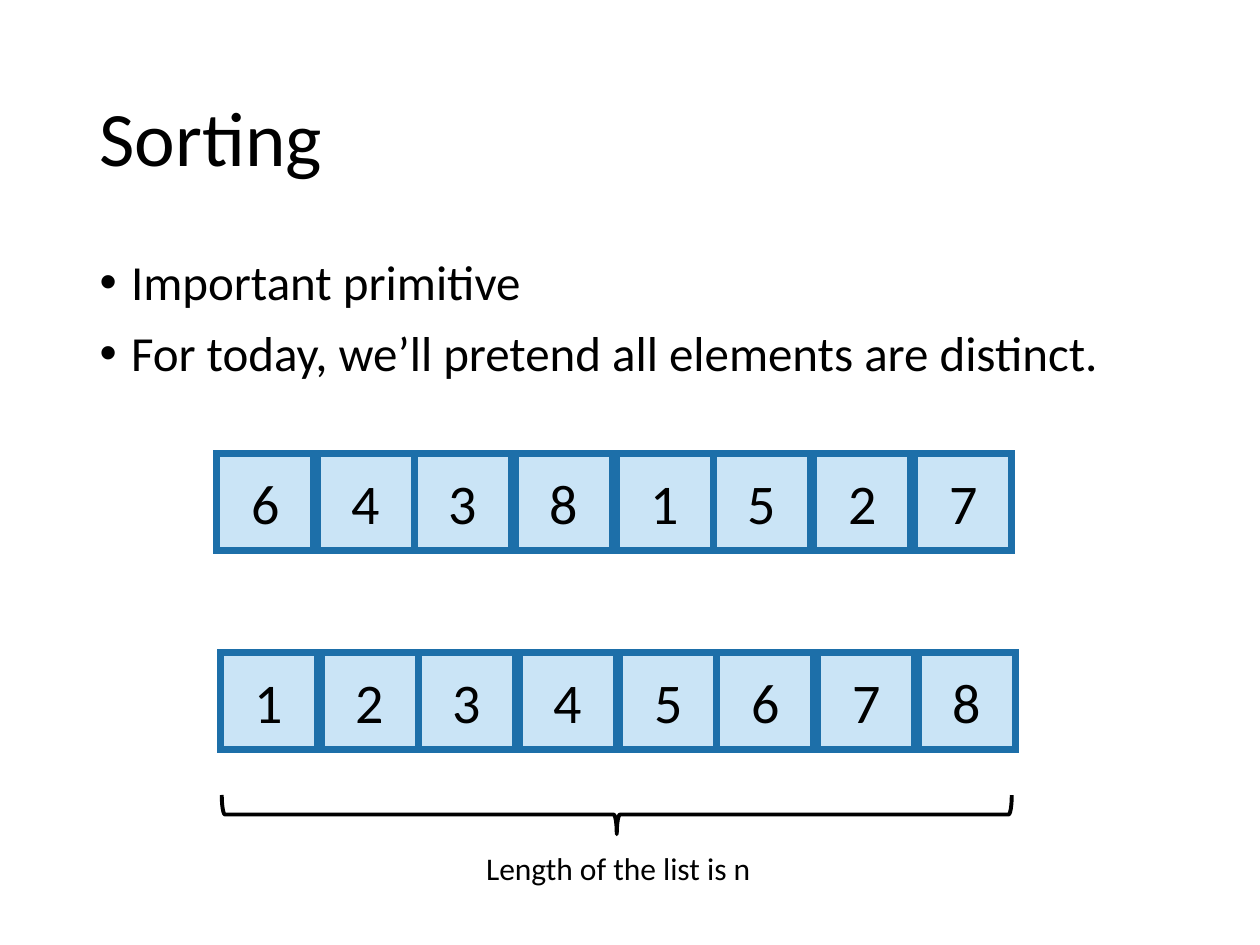
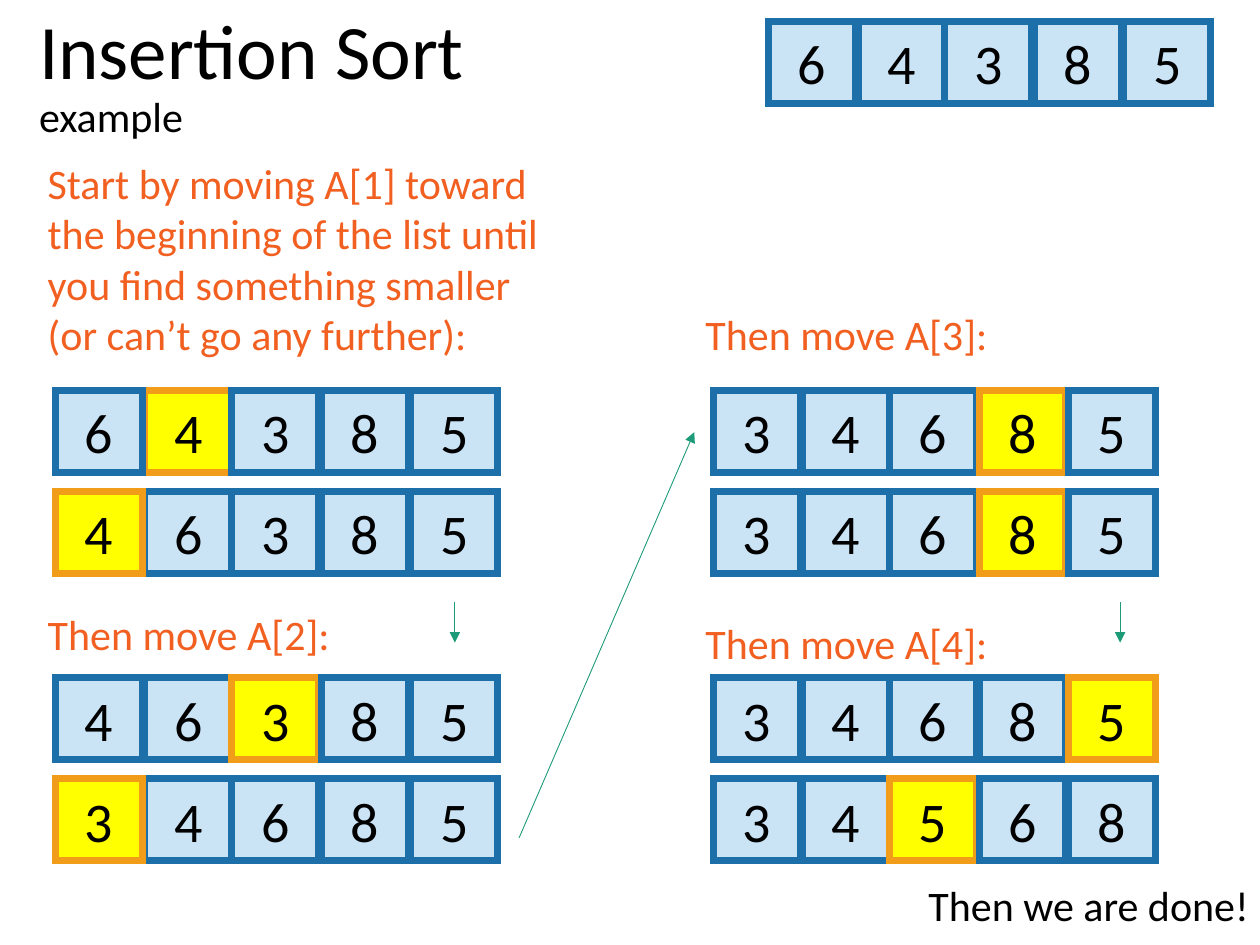
from lxml import etree
from pptx import Presentation
from pptx.dml.color import RGBColor
from pptx.enum.shapes import MSO_CONNECTOR, MSO_SHAPE
from pptx.enum.text import MSO_ANCHOR, MSO_AUTO_SIZE, PP_ALIGN
from pptx.oxml.ns import qn
from pptx.util import Inches, Pt

RECTANGLE, BRACE = MSO_SHAPE.RECTANGLE, MSO_SHAPE.RIGHT_BRACE
STRAIGHT = MSO_CONNECTOR.STRAIGHT
LEFT, CENTER = PP_ALIGN.LEFT, PP_ALIGN.CENTER
MIDDLE, FIXED = MSO_ANCHOR.MIDDLE, MSO_AUTO_SIZE.NONE

# Slide grid: 10 columns by 7.5 rows
WIDTH, HEIGHT = Inches(10), Inches(7.5)
COLUMN, ROW = WIDTH / 10, HEIGHT / 7.5

FONT = "Calibri"
BLACK, ORANGE, GREEN = "000000", "F26021", "1D9A78"
PLAIN_CELL = ("CAE4F6", "1D6FA9")
MOVED_CELL = ("FFFF00", "F19D19")

TITLE_SIZE = (8.62, 1.45)
LARGE_CELL = (0.77, 0.77, 0.03)  # width, height, gap
SMALL_CELL = (0.69, 0.65, 0.02)
LIST_PITCH = 0.8


def color(value):
    return RGBColor.from_string(value)


def grid(left, top, width, height):
    return [round(length) for length in
            (left * COLUMN, top * ROW, width * COLUMN, height * ROW)]


def place(shape, *box):
    shape.left, shape.top, shape.width, shape.height = grid(*box)


def format_runs(paragraph, size, fill=BLACK):
    for run in paragraph.runs:
        run.font.name, run.font.size = FONT, Pt(size)
        run.font.color.rgb = color(fill)


def set_line(shape, fill, width):
    shape.line.color.rgb = color(fill)
    shape.line.width = Pt(width)


def add_title(slide, left, top, text, subtitle_size=None):
    title = slide.shapes.title
    place(title, left, top, *TITLE_SIZE)
    frame = title.text_frame
    frame.text = text
    frame.vertical_anchor, frame.auto_size = MIDDLE, FIXED
    paragraph = frame.paragraphs[0]
    paragraph.alignment, paragraph.line_spacing = LEFT, 0.9
    format_runs(paragraph, 44)
    if subtitle_size:
        paragraph.runs[-1].font.size = Pt(subtitle_size)


def add_bullets(slide, box, lines):
    body = slide.placeholders[1]
    place(body, *box)
    frame = body.text_frame
    frame.text = "\n".join(lines)
    frame.auto_size = FIXED
    for paragraph in frame.paragraphs:
        paragraph.line_spacing, paragraph.space_before = 0.9, Pt(10)
        properties = paragraph._p.get_or_add_pPr()
        properties.set("marL", str(Inches(0.25)))
        properties.set("indent", str(Inches(-0.25)))
        etree.SubElement(properties, qn("a:buChar"), char="•")
        format_runs(paragraph, 28)


def add_label(slide, box, text, size, fill=BLACK):
    frame = slide.shapes.add_textbox(*grid(*box)).text_frame
    frame.word_wrap = True
    frame.text = text
    format_runs(frame.paragraphs[0], size, fill)


def add_cell(shapes, box, text, colors):
    cell = shapes.add_shape(RECTANGLE, *grid(*box))
    cell.shadow.inherit = False
    cell.fill.solid()
    cell.fill.fore_color.rgb = color(colors[0])
    set_line(cell, colors[1], 4)
    etree.SubElement(cell.line._ln, qn("a:miter"), lim="800000")
    frame = cell.text_frame
    frame.text = text
    frame.vertical_anchor = MIDDLE
    frame.paragraphs[0].alignment = CENTER
    format_runs(frame.paragraphs[0], 32)


def add_number_list(slide, left, top, digits, cell_size, moved=None):
    """Draw one list as a group; every third cell touches the one before it."""
    width, height, gap = cell_size
    group = slide.shapes.add_group_shape()
    # The second cell lies behind both of its neighbours
    for index in [1, 0, *range(2, len(digits))]:
        gaps = index - (index + 1) // 3
        box = (left + index * width + gaps * gap, top, width, height)
        colors = MOVED_CELL if index == moved else PLAIN_CELL
        add_cell(group.shapes, box, digits[index], colors)


def add_step(slide, left, top, caption, caption_rise, before, after):
    """Caption above a list before and after one move."""
    for row, (digits, moved) in enumerate((before, after)):
        add_number_list(slide, left, top + row * LIST_PITCH, digits,
                        SMALL_CELL, moved)
    width, height = (4.28, 1.72) if caption_rise > 1 else (3.82, 0.5)
    add_label(slide, (left - 0.16, top - caption_rise, width, height),
              caption, 24, ORANGE)


def add_arrow(slide, start, end):
    arrow = slide.shapes.add_connector(STRAIGHT, *grid(*start, *end))
    set_line(arrow, GREEN, 0.5)
    etree.SubElement(arrow.line._ln, qn("a:tailEnd"), type="triangle")
    etree.SubElement(arrow._element.spPr, qn("a:effectLst"))


def add_length_brace(slide, left, top, width, height, text):
    """Brace turned to point down, with its label below."""
    brace = slide.shapes.add_shape(BRACE, *grid(
        left + (width - height) / 2, top + (height - width) / 2, height, width))
    brace.rotation = 90
    brace.shadow.inherit = False
    brace.fill.background()
    set_line(brace, BLACK, 2.25)
    add_label(slide, (left + 2, top + 0.38, 2.47, 0.4), text, 18)


def build_sorting(presentation):
    slide = presentation.slides.add_slide(presentation.slide_layouts[1])
    add_title(slide, 0.69, 0.4, "Sorting")
    add_bullets(slide, (0.69, 2, 8.62, 4.76), [
        "Important primitive",
        "For today, we’ll pretend all elements are distinct."])
    # Unsorted and sorted lists
    add_number_list(slide, 1.72, 3.6, "64381527", LARGE_CELL)
    add_number_list(slide, 1.75, 5.18, "12345678", LARGE_CELL)
    add_length_brace(slide, 1.76, 6.31, 6.27, 0.31, "Length of the list is n")


def build_insertion_sort(presentation):
    slide = presentation.slides.add_slide(presentation.slide_layouts[5])
    add_title(slide, 0.21, -0.11, "Insertion Sort \vexample", 24)
    # Steps: two columns, read downwards
    left, right = 0.44, 5.66
    upper, lower = 3.1, 5.38
    steps = [
        (left, upper, "Start by moving A[1] toward the beginning of the list "
         "until you find something smaller (or can’t go any further):", 1.9,
         ("64385", 1), ("46385", 0)),
        (left, lower, "Then move A[2]:", 0.6, ("46385", 2), ("34685", 0)),
        (right, upper, "Then move A[3]:", 0.7, ("34685", 3), ("34685", 3)),
        (right, lower, "Then move A[4]:", 0.53, ("34685", 4), ("34568", 2)),
    ]
    for step in steps:
        add_step(slide, *step)
    add_label(slide, (7.27, 6.93, 3.82, 0.5), "Then we are done!", 24)
    # Arrows from step to step
    add_arrow(slide, (3.61, 4.78), (3.61, 5.1))
    add_arrow(slide, (4.12, 6.65), (5.51, 3.43))
    add_arrow(slide, (8.89, 4.78), (8.89, 5.1))
    # Starting list
    add_number_list(slide, 6.1, 0.17, "64385", SMALL_CELL)


def main():
    presentation = Presentation()
    presentation.slide_width, presentation.slide_height = WIDTH, HEIGHT
    build_sorting(presentation)
    build_insertion_sort(presentation)
    presentation.save("out.pptx")


if __name__ == "__main__":
    main()
